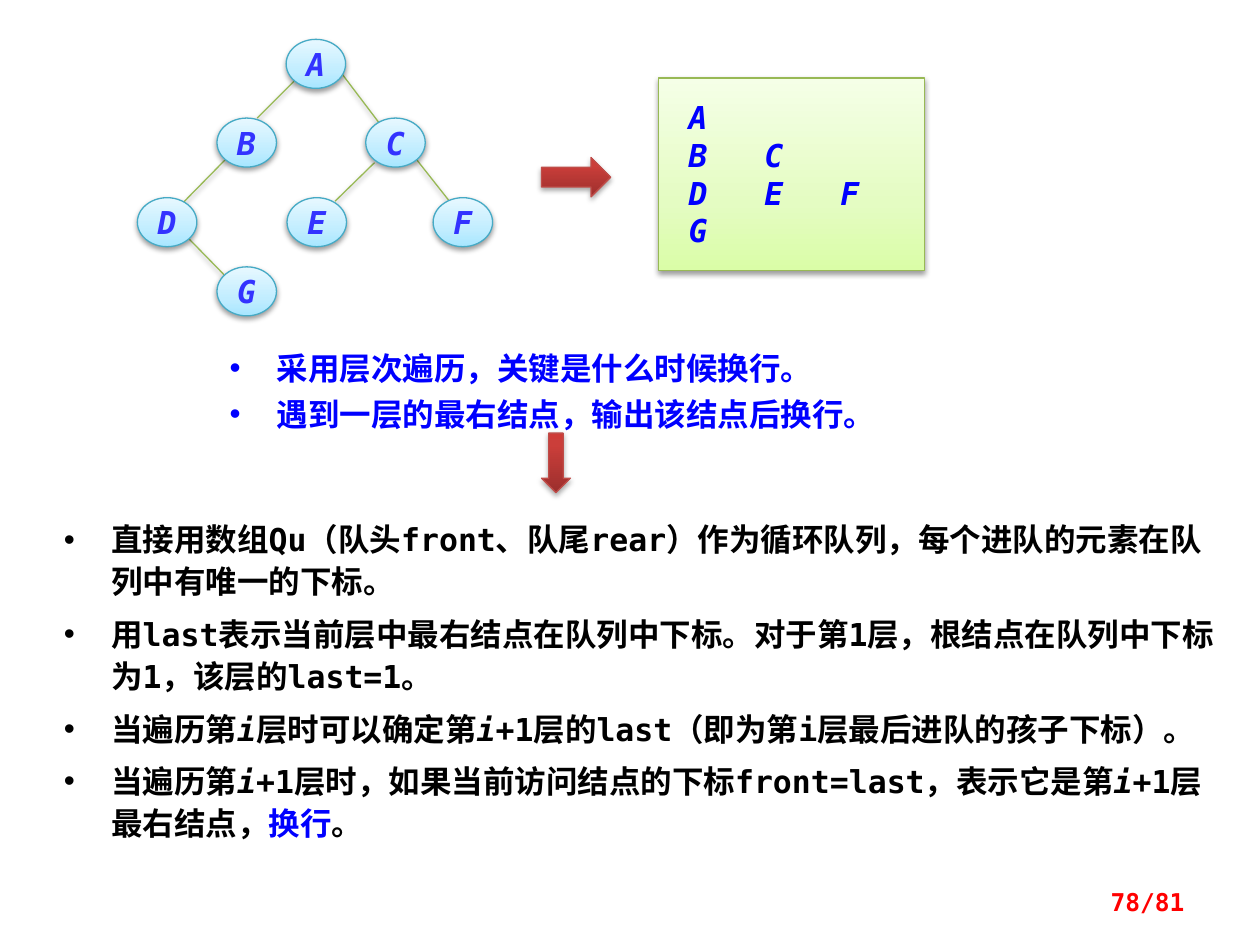
from dataclasses import dataclass

from lxml import etree
from pptx import Presentation
from pptx.dml.color import RGBColor
from pptx.enum import shapes, text
from pptx.oxml import ns
from pptx.util import Pt


@dataclass(frozen=True)
class Theme:
    font: str = "DejaVu Sans Mono"
    body_size: int = 18
    number_size: int = 14
    black: str = "000000"
    white: str = "FFFFFF"
    blue: str = "0000FF"
    node_text: str = "3333FF"
    red: str = "FF0000"
    node_line: str = "46AAC5"
    green_line: str = "98B955"
    arrow_line: str = "BF4C48"
    node_fill: tuple = ((0, "A7E6FF"), (35, "C1EDFF"), (100, "E7F8FF"))
    green_fill: tuple = ((0, "DAFDA7"), (35, "E4FCC2"), (100, "F5FFE7"))
    arrow_fill: tuple = ((0, "9C2F2D"), (80, "CB3E3A"), (100, "CE3B37"))


THEME = Theme()
NODE_WIDTH, NODE_HEIGHT = 34, 28
NODES = {
    "A": (163.5, 22.5), "B": (124, 67.5), "C": (209, 67.5), "D": (78.5, 113),
    "E": (164, 113), "F": (247.5, 113), "G": (124, 152.5),
}
EDGES = [
    (169, 45.5, 147, 67.5), (194.5, 41, 218, 72),
    (129.5, 90.5, 101.5, 119), (214, 93, 191.5, 115),
    (237.5, 90.5, 260, 119), (107.5, 136, 129.5, 158.5),
]
LEVELS = ["A", "B\tC", "D\tE\tF", "G"]
COLUMN_WIDTH = 43.35

# Each list item is a sequence of (text, style) runs.
KEY_POINTS = [
    [("采用层次遍历，关键是什么时候换行。", "")],
    [("遇到一层的最右结点，输出该结点后换行。", "")],
]
STEPS = [
    [("直接用数组Qu（队头front、队尾rear）作为循环队列，每个进队的元素在队列中有唯一的下标。", "")],
    [("用last表示当前层中最右结点在队列中下标。对于第1层，根结点在队列中下标为1，该层的last=1。", "")],
    [("当遍历第", ""), ("i", "italic"), ("层时可以确定第", ""), ("i", "italic"),
     ("+1层的last（即为第i层最后进队的孩子下标）。", "")],
    [("当遍历第", ""), ("i", "italic"),
     ("+1层时，如果当前访问结点的下标front=last，表示它是第", ""), ("i", "italic"),
     ("+1层最右结点，", ""), ("换行", "accent"), ("。", "")],
]


def add_element(parent, tag, **attributes):
    return etree.SubElement(parent, ns.qn(tag), attributes)


def style_font(font, color, size=THEME.body_size, italic=False):
    font.name = THEME.font
    font.size = Pt(size)
    font.bold = True
    font.italic = italic
    font.color.rgb = RGBColor.from_string(color)


def style_line(line, color):
    line.color.rgb = RGBColor.from_string(color)
    line.width = Pt(0.75)


def add_shadow(properties, opacity=38):
    """Give the spPr element a soft shadow straight below."""
    for effects in properties.findall(ns.qn("a:effectLst")):
        properties.remove(effects)
    shadow = add_element(
        add_element(properties, "a:effectLst"), "a:outerShdw",
        blurRad=str(Pt(3.1)), dist=str(Pt(1.6)), dir="5400000", rotWithShape="0")
    color = add_element(shadow, "a:srgbClr", val=THEME.black)
    add_element(color, "a:alpha", val=str(opacity * 1000))


def fill_gradient(shape, stops):
    """Fill from bottom to top with (percent, colour) stops."""
    shape.fill.gradient()
    shape.fill.gradient_angle = 90
    stop_list = shape._element.spPr.find(".//" + ns.qn("a:gsLst"))
    for old_stop in list(stop_list):
        stop_list.remove(old_stop)
    for percent, color in stops:
        stop = add_element(stop_list, "a:gs", pos=str(percent * 1000))
        add_element(stop, "a:srgbClr", val=color)


def add_glossy_shape(slide, kind, box, stops, line_color, opacity=38):
    shape = slide.shapes.add_shape(kind, *map(Pt, box))
    fill_gradient(shape, stops)
    style_line(shape.line, line_color)
    add_shadow(shape._element.spPr, opacity)
    return shape


def add_edge(slide, points):
    edge = slide.shapes.add_connector(
        shapes.MSO_CONNECTOR.STRAIGHT, *map(Pt, points))
    style_line(edge.line, THEME.green_line)
    add_shadow(edge._element.spPr)


def add_node(slide, label, position):
    node = add_glossy_shape(
        slide, shapes.MSO_SHAPE.OVAL, (*position, NODE_WIDTH, NODE_HEIGHT),
        THEME.node_fill, THEME.node_line)
    frame = node.text_frame
    frame.text = label
    frame.word_wrap = False
    frame.vertical_anchor = text.MSO_ANCHOR.MIDDLE
    paragraph = frame.paragraphs[0]
    paragraph.alignment = text.PP_ALIGN.CENTER
    style_font(paragraph.runs[0].font, THEME.node_text, italic=True)


def set_margins(frame, left, top, right, bottom):
    frame.margin_left, frame.margin_top = Pt(left), Pt(top)
    frame.margin_right, frame.margin_bottom = Pt(right), Pt(bottom)


def add_level_output(slide):
    panel = add_glossy_shape(
        slide, shapes.MSO_SHAPE.RECTANGLE, (376.5, 44.5, 152, 110),
        THEME.green_fill, THEME.green_line)
    frame = panel.text_frame
    set_margins(frame, 17, 11.5, 7, 11.5)
    frame.vertical_anchor = text.MSO_ANCHOR.TOP
    frame.text = "\n".join(LEVELS)
    for paragraph in frame.paragraphs:
        paragraph.alignment = text.PP_ALIGN.LEFT
        tabs = add_element(paragraph._p.get_or_add_pPr(), "a:tabLst")
        for column in (1, 2):
            add_element(tabs, "a:tab", pos=str(Pt(column * COLUMN_WIDTH)), algn="l")
        for run in paragraph.runs:
            style_font(run.font, THEME.blue, italic=True)


def fill_list(placeholder, box, items, color, line_height, gap=0):
    placeholder.left, placeholder.top, placeholder.width, placeholder.height = map(Pt, box)
    frame = placeholder.text_frame
    frame.word_wrap = True
    frame.auto_size = text.MSO_AUTO_SIZE.NONE
    frame.vertical_anchor = text.MSO_ANCHOR.TOP
    for index, item in enumerate(items):
        paragraph = frame.add_paragraph() if index else frame.paragraphs[0]
        paragraph.line_spacing = Pt(line_height)
        paragraph.space_before = Pt(gap if index else 0)
        properties = paragraph._p.get_or_add_pPr()
        properties.set("marL", str(Pt(27)))
        properties.set("indent", str(Pt(-27)))
        add_element(properties, "a:buFont", typeface="Arial")
        add_element(properties, "a:buChar", char="•")
        for content, style in item:
            run = paragraph.add_run()
            run.text = content
            style_font(run.font, THEME.blue if style == "accent" else color,
                       italic=style == "italic")
    return frame


def add_page_number(slide, label):
    box = slide.shapes.add_textbox(Pt(516), Pt(500.5), Pt(168), Pt(29))
    frame = box.text_frame
    frame.word_wrap = True
    frame.vertical_anchor = text.MSO_ANCHOR.MIDDLE
    frame.text = label
    paragraph = frame.paragraphs[0]
    paragraph.alignment = text.PP_ALIGN.RIGHT
    style_font(paragraph.runs[0].font, THEME.red, THEME.number_size)


def main():
    presentation = Presentation()
    presentation.slide_width, presentation.slide_height = Pt(720), Pt(540)
    slide = presentation.slides.add_slide(
        presentation.slide_layouts.get_by_name("Two Content"))
    title, key_points, steps = slide.placeholders
    title._element.getparent().remove(title._element)

    fill_list(key_points, (124, 191.5, 382, 85), KEY_POINTS, THEME.blue, 26)
    steps_frame = fill_list(steps, (22.5, 286.5, 680, 228), STEPS, THEME.black, 24, gap=6)
    set_margins(steps_frame, 14, 8.5, 7, 8.5)
    steps.fill.solid()
    steps.fill.fore_color.rgb = RGBColor.from_string(THEME.white)

    for points in EDGES:
        add_edge(slide, points)
    for label, position in NODES.items():
        add_node(slide, label, position)
    add_level_output(slide)
    for kind, box in (
        (shapes.MSO_SHAPE.RIGHT_ARROW, (309.5, 90, 39.5, 22.5)),
        (shapes.MSO_SHAPE.DOWN_ARROW, (309.5, 247.5, 16.5, 34)),
    ):
        add_glossy_shape(slide, kind, box, THEME.arrow_fill, THEME.arrow_line, 35)
    add_page_number(slide, "78/81")
    presentation.save("out.pptx")


if __name__ == "__main__":
    main()
